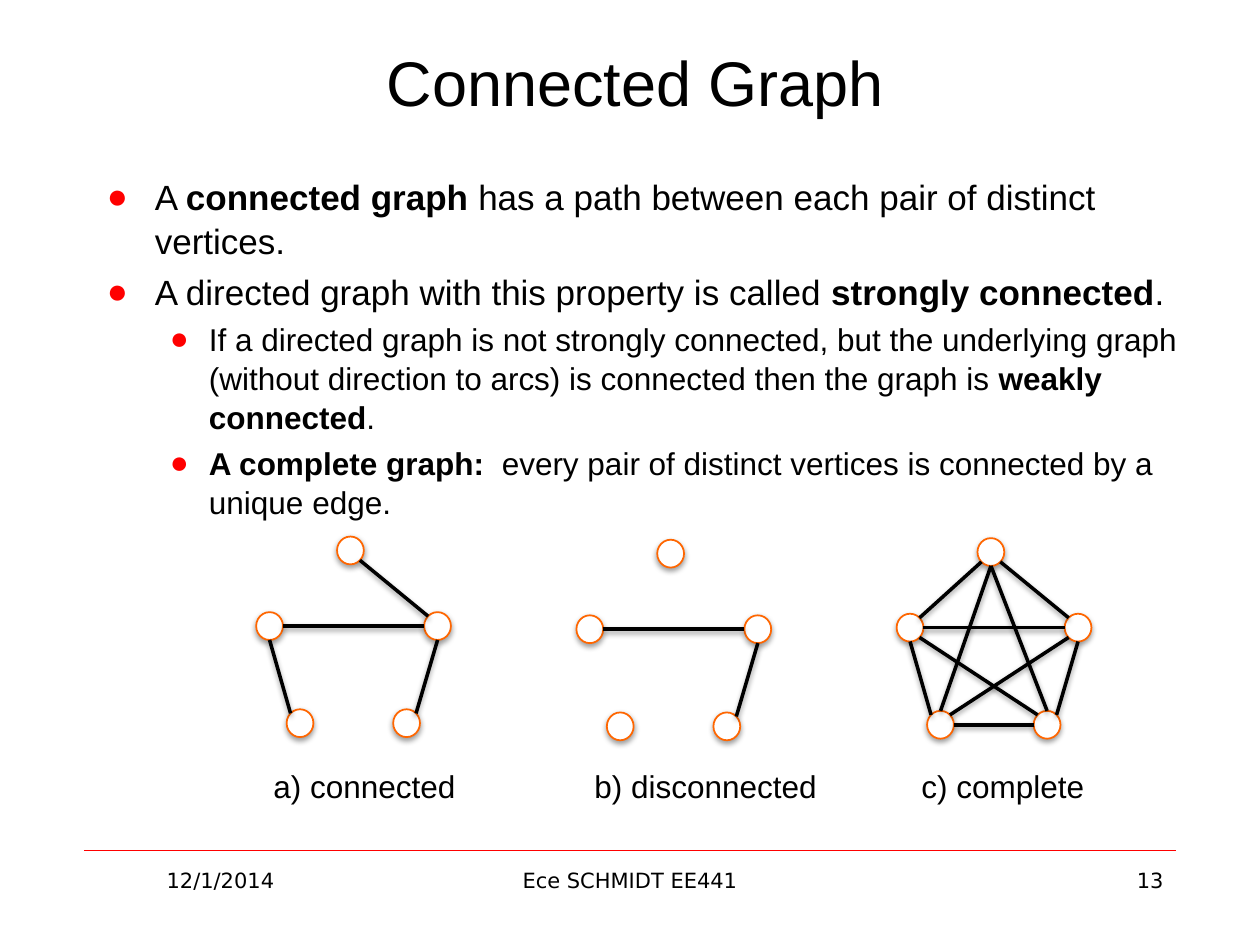
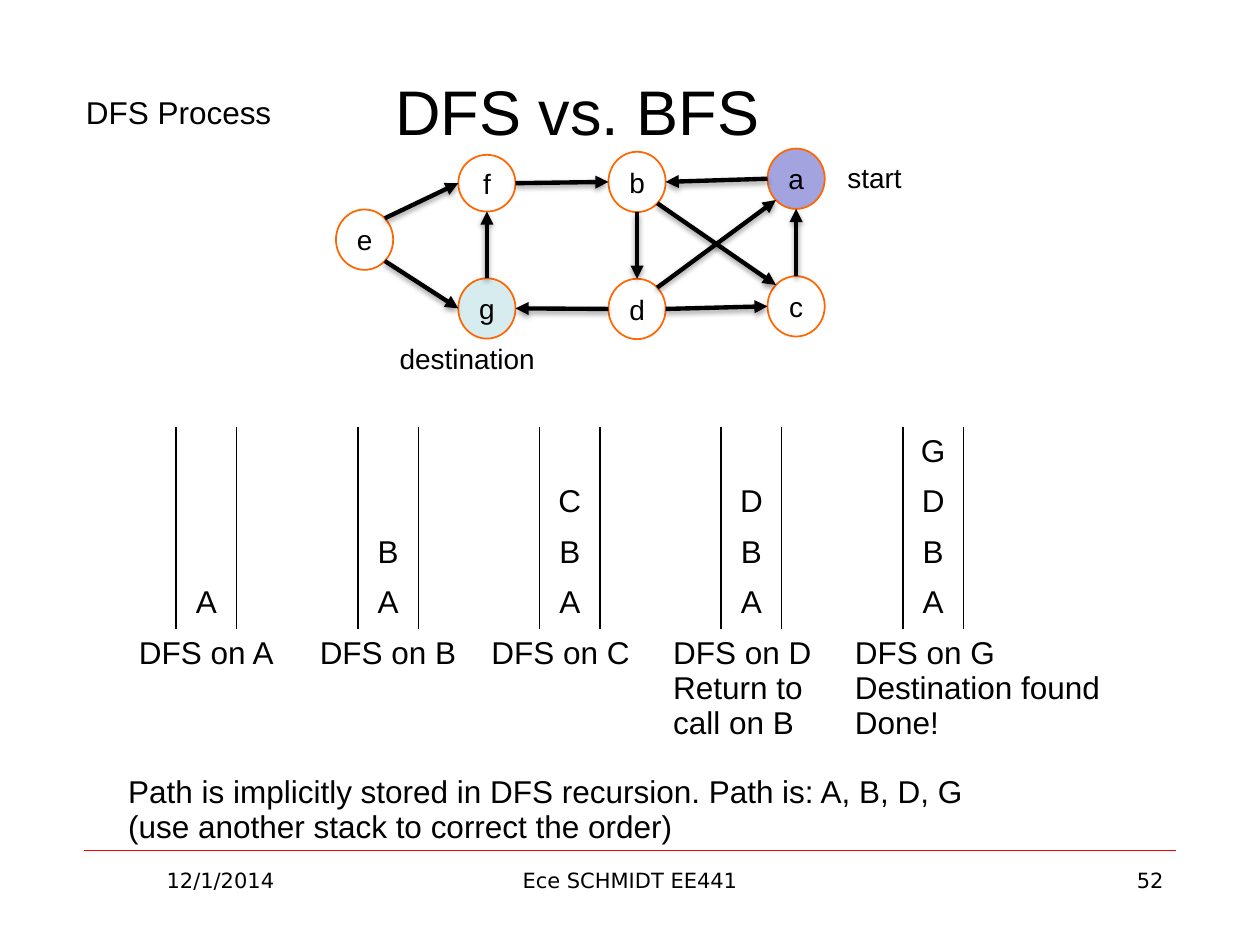
import math

import lxml.etree
import pptx
import pptx.dml.color
import pptx.enum.shapes
import pptx.enum.text
import pptx.oxml
import pptx.oxml.ns
import pptx.util

COLORS = {"ink": "000000", "paper": "FFFFFF", "red": "FF0000",
          "orange": "FF6600", "start": "A3A3E0", "goal": "D6ECEE"}
FONT, FOOTER_FONT = "Arial", "DejaVu Sans"
COLS, ROWS = 120, 90  # slide grid
PLAIN_TABLE = "{2D5ABB26-0587-4C30-8999-92F81FD0307C}"
COMPASS = ["E", "SE", "S", "SW", "W", "NW", "N", "NE"]
LEFT, CENTER, RIGHT = (pptx.enum.text.PP_ALIGN.LEFT,
                       pptx.enum.text.PP_ALIGN.CENTER,
                       pptx.enum.text.PP_ALIGN.RIGHT)
TOP, MIDDLE = pptx.enum.text.MSO_ANCHOR.TOP, pptx.enum.text.MSO_ANCHOR.MIDDLE


def rgb(name):
    return pptx.dml.color.RGBColor.from_string(COLORS[name])


def sub(parent, tag, **attrs):
    """Append a DrawingML element."""
    return lxml.etree.SubElement(parent, pptx.oxml.ns.qn(tag), attrs)


class Deck:
    """Shared style, grid and the current slide."""

    def __init__(self):
        self.prs = pptx.Presentation()
        self.prs.slide_width = pptx.util.Inches(10)
        self.prs.slide_height = pptx.util.Inches(7.5)
        self.s = None

    def x(self, cols):
        return round(self.prs.slide_width * cols / COLS)

    def y(self, rows):
        return round(self.prs.slide_height * rows / ROWS)

    def box(self, x, y, w, h):
        return self.x(x), self.y(y), self.x(w), self.y(h)

    def slide(self, title, title_box, number):
        self.s = self.prs.slides.add_slide(self.prs.slide_layouts[6])
        self.line((8, 81), (112, 81), 0.25, "red", shadow=False)
        self.text(title_box, title, 36, CENTER, MIDDLE)
        for place, words, align in [((8, 82, 26, 6.2), "12/1/2014", CENTER),
                                    ((41, 82, 38, 6.2), "Ece SCHMIDT EE441", CENTER),
                                    ((86, 82, 26, 6.2), str(number), RIGHT)]:
            self.text(place, words, 12, align, font=FOOTER_FONT)

    def run(self, p, words, size, bold=False, font=FONT):
        r = p.add_run()
        r.text = words
        r.font.size = pptx.util.Pt(size)
        r.font.name = font
        r.font.bold = bold
        r.font.color.rgb = rgb("ink")

    def text(self, place, words, size, align=LEFT, anchor=TOP, font=FONT):
        tf = self.s.shapes.add_textbox(*self.box(*place)).text_frame
        tf.word_wrap = True
        tf.vertical_anchor = anchor
        p = tf.paragraphs[0]
        p.alignment = align
        self.run(p, words, size, font=font)

    def bullets(self, place, items):
        """Each item is (level, [(words, bold), ...])."""
        tf = self.s.shapes.add_textbox(*self.box(*place)).text_frame
        tf.word_wrap = True
        for i, (level, runs) in enumerate(items):
            p = tf.add_paragraph() if i else tf.paragraphs[0]
            size, indent, hang = [(20, 0.38, 0.38), (18, 0.81, 0.31)][level]
            p.level = level
            p.line_spacing = 1.04
            p.space_before = pptx.util.Pt(size * 0.2)
            pPr = p._p.get_or_add_pPr()
            pPr.set("marL", str(pptx.util.Inches(indent)))
            pPr.set("indent", str(-pptx.util.Inches(hang)))
            sub(sub(pPr, "a:buClr"), "a:srgbClr", val=COLORS["red"])
            sub(pPr, "a:buFont", typeface=FONT)
            sub(pPr, "a:buChar", char="●")
            for words, bold in runs:
                self.run(p, words, size, bold)

    def shadow(self, shape, on):
        """Give a shape a soft shadow below it, or none."""
        effects = sub(shape._element.spPr, "a:effectLst")
        if on:
            drop = sub(effects, "a:outerShdw", blurRad="40000", dist="20000",
                       dir="5400000", rotWithShape="0")
            sub(sub(drop, "a:srgbClr", val=COLORS["ink"]), "a:alpha", val="38000")

    def node(self, x, y, w, h, label="", fill="paper", shadow=False):
        sp = self.s.shapes.add_shape(pptx.enum.shapes.MSO_SHAPE.OVAL,
                                     *self.box(x, y, w, h))
        sp.fill.solid()
        sp.fill.fore_color.rgb = rgb(fill)
        sp.line.color.rgb = rgb("orange")
        sp.line.width = pptx.util.Pt(1)
        self.shadow(sp, shadow)
        if label:
            tf = sp.text_frame
            tf.word_wrap = False
            tf.vertical_anchor = MIDDLE
            tf.paragraphs[0].alignment = CENTER
            self.run(tf.paragraphs[0], label, 16)

    def line(self, start, end, width, color="ink", arrow=False, shadow=True):
        c = self.s.shapes.add_connector(
            pptx.enum.shapes.MSO_CONNECTOR.STRAIGHT,
            self.x(start[0]), self.y(start[1]), self.x(end[0]), self.y(end[1]))
        c.line.color.rgb = rgb(color)
        c.line.width = pptx.util.Pt(width)
        if arrow:
            sub(c.line._get_or_add_ln(), "a:tailEnd", type="triangle")
        self.shadow(c, shadow)

    def edges(self, nodes, links, width, arrow=False):
        """Join nodes {name: (x, y, w, h)}; a link reads 'name side name side'."""
        def site(name, side):
            x, y, w, h = nodes[name]
            angle = math.radians(45 * COMPASS.index(side))
            return (x + w / 2 * (1 + math.cos(angle)),
                    y + h / 2 * (1 + math.sin(angle)))

        for link in links:
            a, a_side, b, b_side = link.split()
            self.line(site(a, a_side), site(b, b_side), width, arrow=arrow)

    def table(self, place, widths, heights):
        shape = self.s.shapes.add_table(len(heights), len(widths), *self.box(*place))
        t = shape.table
        t.first_row = t.horz_banding = False
        style = t._tbl.tblPr.find(pptx.oxml.ns.qn("a:tableStyleId"))
        style.text = PLAIN_TABLE
        for col, w in zip(t.columns, widths):
            col.width = self.x(w)
        for row, h in zip(t.rows, heights):
            row.height = self.y(h)
        for cell in t.iter_cells():
            cell.fill.background()
        return t

    def cell(self, cell, lines, align=LEFT):
        tf = cell.text_frame
        for i, words in enumerate(lines):
            p = tf.add_paragraph() if i else tf.paragraphs[0]
            p.alignment = align
            self.run(p, words, 18)

    def side_borders(self, cell):
        tcPr = cell._tc.get_or_add_tcPr()
        for i, tag in enumerate(["a:lnL", "a:lnR"]):
            ln = sub(tcPr, tag, w=str(pptx.util.Pt(1)))
            sub(sub(ln, "a:solidFill"), "a:srgbClr", val=COLORS["ink"])
            tcPr.insert(i, ln)


def connected_graph(deck):
    deck.slide("Connected Graph", (7, 2, 107, 11.4), 13)
    deck.bullets((9, 16, 105, 35), [
        (0, [("A ", False), ("connected graph ", True),
             ("has a path between each pair of distinct vertices.", False)]),
        (0, [("A directed graph with this property is called ", False),
             ("strongly connected", True), (".", False)]),
        (1, [("If a directed graph is not strongly connected, but the underlying "
              "graph (without direction to arcs) is connected then the graph is ", False),
             ("weakly connected", True), (".", False)]),
        (1, [("A complete graph: ", True),
             (" every pair of distinct vertices is connected by a unique edge.", False)]),
    ])

    # Three graphs on the same five vertices
    vertices = {"top": (7.7, 0), "left": (0, 7.2), "right": (16, 7.2),
                "low1": (2.9, 16.45), "low2": (13.05, 16.45)}
    shared = ["left E right W", "low2 NE right S"]
    connected = shared + ["top SE right NW", "left S low1 NW"]
    complete = connected + ["low1 E low2 W", "left NE top SW", "low1 N top S",
                            "top S low2 N", "left SE low2 NW", "low1 NE right SW"]
    graphs = [("a) connected", 34.7, 51.1, connected),
              ("b) disconnected", 67.2, 51.4, shared),
              ("c) complete", 95.5, 51.25, complete)]
    for i, (caption, middle, top, links) in enumerate(graphs):
        nodes = {name: (24.4 + 30.5 * i + dx, top + dy, 2.55, 2.65)
                 for name, (dx, dy) in vertices.items()}
        for place in nodes.values():
            deck.node(*place, shadow=True)
        deck.edges(nodes, links, 2)
        deck.text((middle - 14, 72.5, 28, 4.8), caption, 18, CENTER)


def dfs_vs_bfs(deck):
    deck.slide("DFS vs. BFS", (7, 3, 96, 15.1), 52)
    deck.text((7, 8.3, 23, 6), "DFS Process", 18)

    # Directed graph
    nodes = {"a": (73.1, 14.15, 5.45, 5.75), "b": (57.95, 14.45, 5.45, 5.75),
             "c": (73.1, 26.3, 5.45, 5.75), "d": (57.95, 26.55, 5.45, 5.75),
             "e": (32, 19.95, 5.45, 5.75), "f": (43.65, 14.75, 5.45, 5.4),
             "g": (43.65, 26.5, 5.45, 5.75)}
    fills = {"a": "start", "g": "goal"}
    for name, place in nodes.items():
        deck.node(*place, label=name, fill=fills.get(name, "paper"))
    deck.text((76.3, 14.2, 14, 5.4), "start", 16, CENTER, MIDDLE)
    deck.text((36, 31.2, 17, 5.8), "destination", 16, CENTER, MIDDLE)
    deck.edges(nodes, ["e NE f W", "f E b W", "g N f S", "a W b E", "c N a S",
                       "d NE a SW", "d E c W", "d W g E", "e SE g W",
                       "b SE c NW", "b S d N"], 2.5, arrow=True)

    # Call stacks, each in the middle of three columns
    stacks = [("A", ["DFS on A"], CENTER),
              ("AB", ["DFS on B"], CENTER),
              ("ABC", ["DFS on C"], LEFT),
              ("ABD", ["DFS on D", "Return to call on B"], LEFT),
              ("ABDG", ["DFS on G", "Destination found", "Done!"], LEFT)]
    depth = 4
    t = deck.table((11, 40.7, 104.68, 40.9), [5.77] * 14 + [23.9],
                   [4.8] * depth + [13.3, 8.4])
    for i, (stack, note, align) in enumerate(stacks):
        for level in range(depth):
            cell = t.cell(depth - 1 - level, 3 * i + 1)
            deck.side_borders(cell)
            if level < len(stack):
                deck.cell(cell, [stack[level]], CENTER)
        t.cell(depth, 3 * i).merge(t.cell(depth, 3 * i + 2))
        deck.cell(t.cell(depth, 3 * i), note, align)
    t.cell(depth + 1, 0).merge(t.cell(depth + 1, 14))
    deck.cell(t.cell(depth + 1, 0),
              ["Path is implicitly stored in DFS recursion. Path is: A, B, D, G",
               "(use another stack to correct the order)"])


def main():
    deck = Deck()
    connected_graph(deck)
    dfs_vs_bfs(deck)
    deck.prs.save("out.pptx")


if __name__ == "__main__":
    main()
